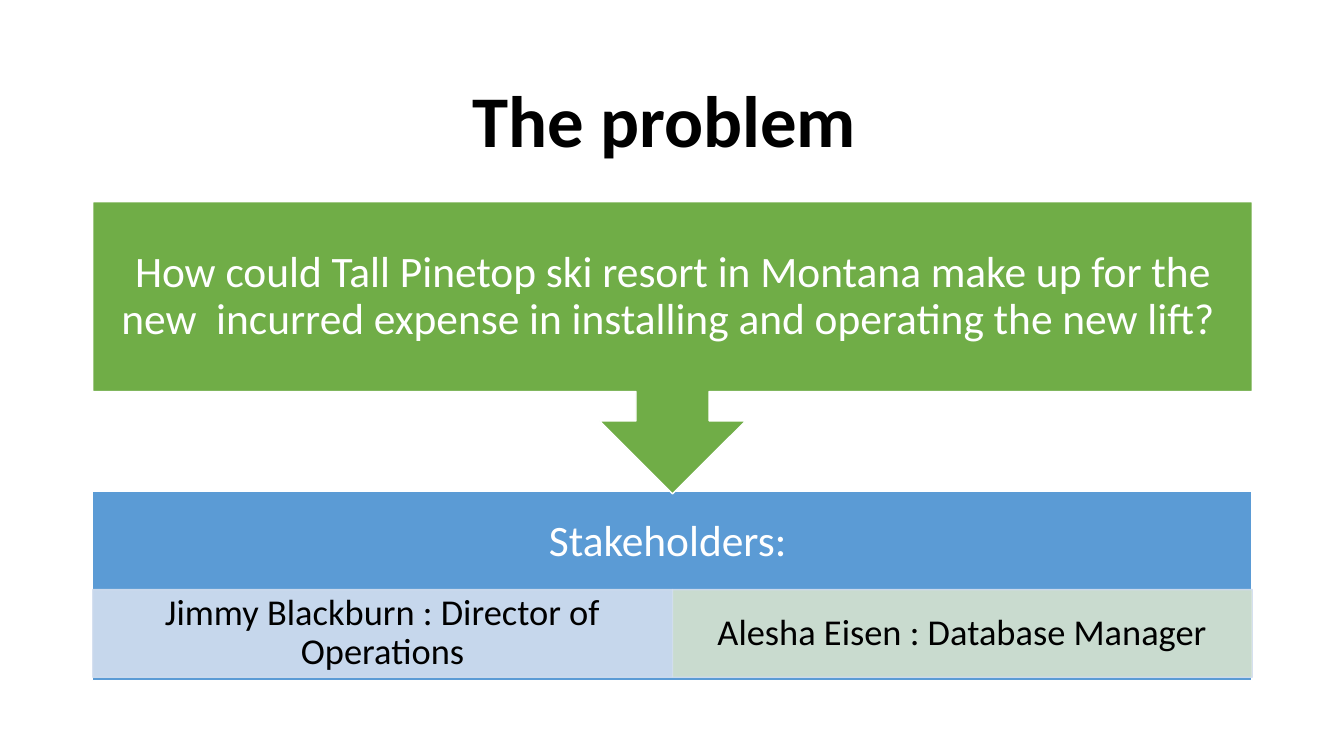
from lxml.etree import SubElement
from pptx import Presentation
from pptx.dml.color import RGBColor
from pptx.enum.shapes import MSO_SHAPE as Preset
from pptx.enum.text import MSO_ANCHOR as Anchor, PP_ALIGN as Align
from pptx.oxml.ns import qn
from pptx.util import Inches, Pt

COLORS = {
    "white": "FFFFFF",
    "black": "000000",
    "green": "70AD47",
    "blue": "5B9BD5",
    "pale_blue": "D2DEEF",
    "pale_green": "D5E3CF",
}
FONT = "Calibri"
LEFT, WIDTH = 0.92, 11.5


def inches(box):
    return [Inches(length) for length in box]


def set_opacity(block, percent):
    """Apply to both the fill and the outline."""
    for color in block.element.spPr.iter(qn("a:srgbClr")):
        SubElement(color, qn("a:alpha")).set("val", str(percent * 1000))


def write(shape, text, size, color, margins=(0.1, 0.05), bold=False):
    """Centred text; margins are (sides, top and bottom)."""
    frame = shape.text_frame
    frame.word_wrap = True
    frame.vertical_anchor = Anchor.MIDDLE
    frame.margin_left = frame.margin_right = Inches(margins[0])
    frame.margin_top = frame.margin_bottom = Inches(margins[1])
    frame.text = text
    paragraph = frame.paragraphs[0]
    paragraph.alignment = Align.CENTER
    paragraph.line_spacing = 0.9
    font = paragraph.runs[0].font
    font.name, font.size, font.bold = FONT, Pt(size), bold
    font.color.rgb = RGBColor.from_string(COLORS[color])


def add_text(slide, box, *args, **options):
    write(slide.shapes.add_textbox(*inches(box)), *args, **options)


def add_block(slide, preset, box, fill, line="white"):
    block = slide.shapes.add_shape(preset, *inches(box))
    block.shadow.inherit = False
    block.fill.solid()
    block.fill.fore_color.rgb = RGBColor.from_string(COLORS[fill])
    block.line.color.rgb = RGBColor.from_string(COLORS[line])
    block.line.width = Pt(1)
    return block


def add_title(slide, box):
    add_text(slide, box, "The problem ", 52, "black", bold=True)


def add_stakeholders(slide, box):
    left, top, width, height = box
    add_block(slide, Preset.RECTANGLE, box, "blue")
    add_text(slide, (left, top, width, 1.02), "Stakeholders: ", 31, "white",
             margins=(0.24, 0.24))

    # One tile per person, side by side
    people = [
        ("Jimmy Blackburn : Director of Operations", "pale_blue"),
        ("Alesha Eisen : Database Manager", "pale_green"),
    ]
    tile_width = width / len(people)
    for index, (person, fill) in enumerate(people):
        tile_box = (left + index * tile_width, top + 0.98, tile_width, 0.87)
        tile = add_block(slide, Preset.RECTANGLE, tile_box, fill,
                         line="pale_blue")
        set_opacity(tile, 90)
        write(tile, person, 26, "black", margins=(0.2, 0.04))


def add_question(slide, box):
    left, top, width, height = box
    # The callout is turned to point down, so its text sits in an upright box
    callout = add_block(slide, Preset.UP_ARROW_CALLOUT, box, "green")
    callout.rotation = 180
    body_height = height * callout.adjustments[3]
    add_text(slide, (left, top, width, body_height),
             "How could Tall Pinetop ski resort in Montana make up for the "
             "new  incurred expense in installing and operating the new lift? ",
             31, "white", margins=(0.24, 0.24))


def main():
    deck = Presentation()
    deck.slide_width, deck.slide_height = Inches(13.33), Inches(7.5)
    slide = deck.slides.add_slide(deck.slide_layouts[6])
    add_title(slide, (LEFT, 0.61, WIDTH, 1.24))
    add_stakeholders(slide, (LEFT, 4.87, WIDTH, 1.88))
    add_question(slide, (LEFT, 2, WIDTH, 2.9))
    deck.save("out.pptx")


if __name__ == "__main__":
    main()
